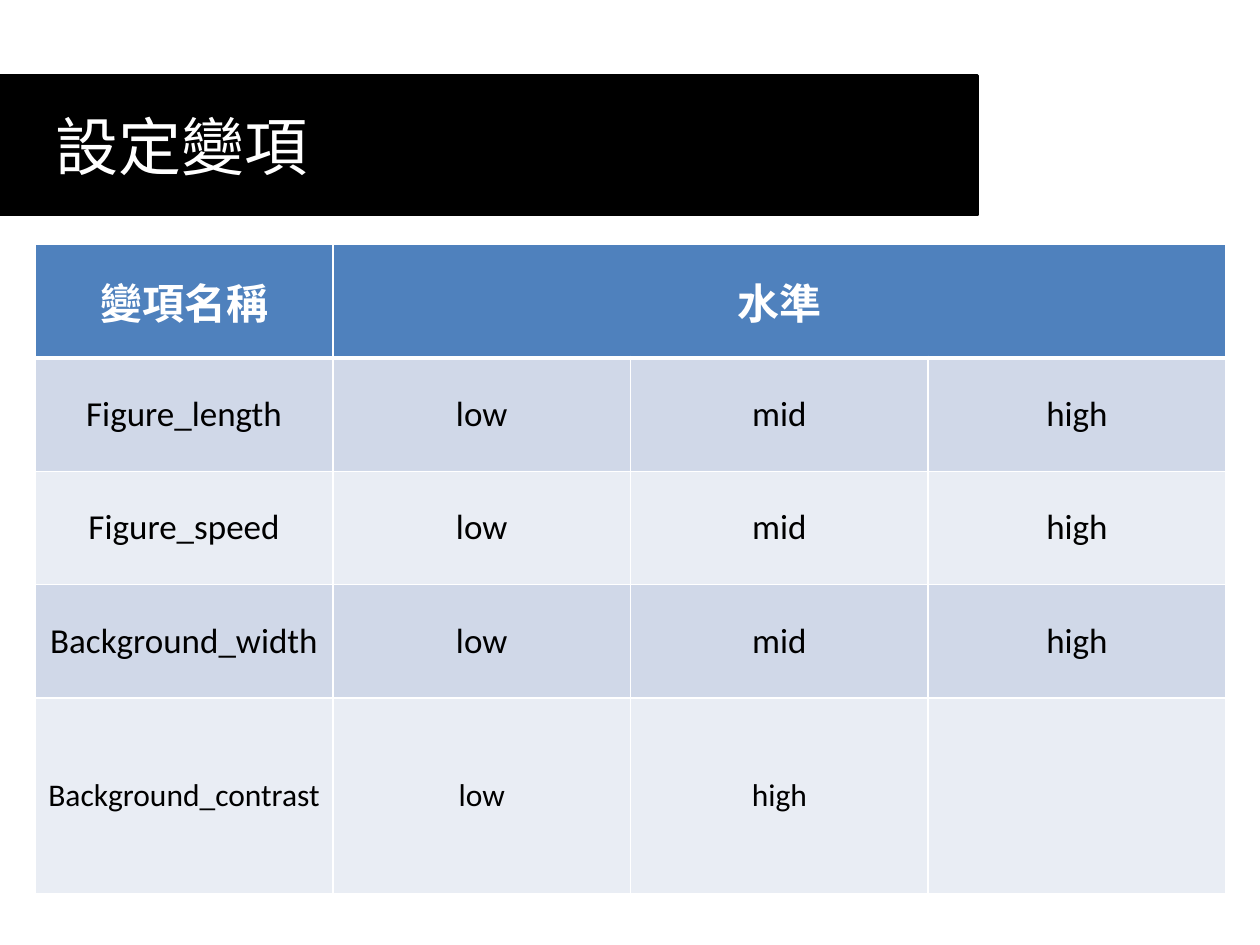
from lxml.etree import SubElement
from pptx import Presentation
from pptx.dml.color import RGBColor as Rgb
from pptx.enum.text import MSO_ANCHOR as Anchor, MSO_AUTO_SIZE as AutoSize, PP_ALIGN as Align
from pptx.oxml.ns import qn
from pptx.util import Pt

COLORS = {"black": "000000", "white": "FFFFFF", "header": "4F81BD",
          "odd": "D0D8E8", "even": "E9EDF4"}
LEVELS = ["low", "mid", "high"]
ROWS = [
    ["變項名稱", "水準"],
    ["Figure_length", *LEVELS],
    ["Figure_speed", *LEVELS],
    ["Background_width", *LEVELS],
    ["Background_contrast", "low", "high"],
]
ROW_HEIGHTS = [64.8] * 4 + [111.6]
TEXT_SIZES = [24, 20, 20, 20, 18]
COLUMN_COUNT = 4
COLUMN_WIDTH = 170.1


class SlideBuilder:
    """Holds the style and the current slide, and adds elements to it."""

    def __init__(self, deck, font="Calibri"):
        self.font = font
        self.page = deck.slides.add_slide(deck.slide_layouts[5])

    def add_text(self, frame, text, size, color, align, bold=False):
        para = frame.paragraphs[0]
        para.alignment = align
        span = para.add_run()
        span.text = text
        style = {"name": self.font, "size": Pt(size), "bold": bold}
        for name, value in style.items():
            setattr(span.font, name, value)
        span.font.color.rgb = Rgb.from_string(COLORS[color])

    def paint(self, fill, color):
        fill.solid()
        fill.fore_color.rgb = Rgb.from_string(COLORS[color])

    def add_title(self, text, left, top, width, height, indent):
        box = self.page.shapes.title
        place = {"left": left, "top": top, "width": width, "height": height}
        for name, value in place.items():
            setattr(box, name, Pt(value))
        self.paint(box.fill, "black")
        self.paint(box.line.fill, "black")
        box.line.width = Pt(2)
        layout = {"margin_left": Pt(indent), "word_wrap": True,
                  "auto_size": AutoSize.NONE, "vertical_anchor": Anchor.MIDDLE}
        for name, value in layout.items():
            setattr(box.text_frame, name, value)
        self.add_text(box.text_frame, text, 36, "white", Align.LEFT)

    def add_borders(self, cell, widths):
        properties = cell._tc.get_or_add_tcPr()
        for side, width in widths.items():
            line = SubElement(properties, qn(f"a:ln{side}"), w=str(Pt(width)))
            solid = SubElement(line, qn("a:solidFill"))
            SubElement(solid, qn("a:srgbClr"), val=COLORS["white"])

    def add_grid(self, left, top):
        frame = self.page.shapes.add_table(
            len(ROWS), COLUMN_COUNT, Pt(left), Pt(top),
            Pt(COLUMN_WIDTH * COLUMN_COUNT), Pt(sum(ROW_HEIGHTS)))
        grid = frame.table
        grid.horz_banding = False
        for column in grid.columns:
            column.width = Pt(COLUMN_WIDTH)
        grid.cell(0, 1).merge(grid.cell(0, COLUMN_COUNT - 1))
        for index, texts in enumerate(ROWS):
            grid.rows[index].height = Pt(ROW_HEIGHTS[index])
            header = index == 0
            fill = "header" if header else "odd" if index % 2 else "even"
            widths = {"L": 1, "R": 1, "T": 3 if index == 1 else 1, "B": 3 if header else 1}
            for column in range(COLUMN_COUNT):
                cell = grid.cell(index, column)
                cell.vertical_anchor = Anchor.MIDDLE
                self.add_borders(cell, widths)
                self.paint(cell.fill, fill)
                if column < len(texts):
                    self.add_text(cell.text_frame, texts[column], TEXT_SIZES[index],
                                  "white" if header else "black", Align.CENTER, header)


def main():
    deck = Presentation()
    deck.slide_width, deck.slide_height = Pt(720), Pt(540)
    builder = SlideBuilder(deck)
    builder.add_title("設定變項", 0, 43.2, 558.7, 79.2, indent=31.6)
    builder.add_grid(20.16, 139.68)
    deck.save("out.pptx")


if __name__ == "__main__":
    main()
